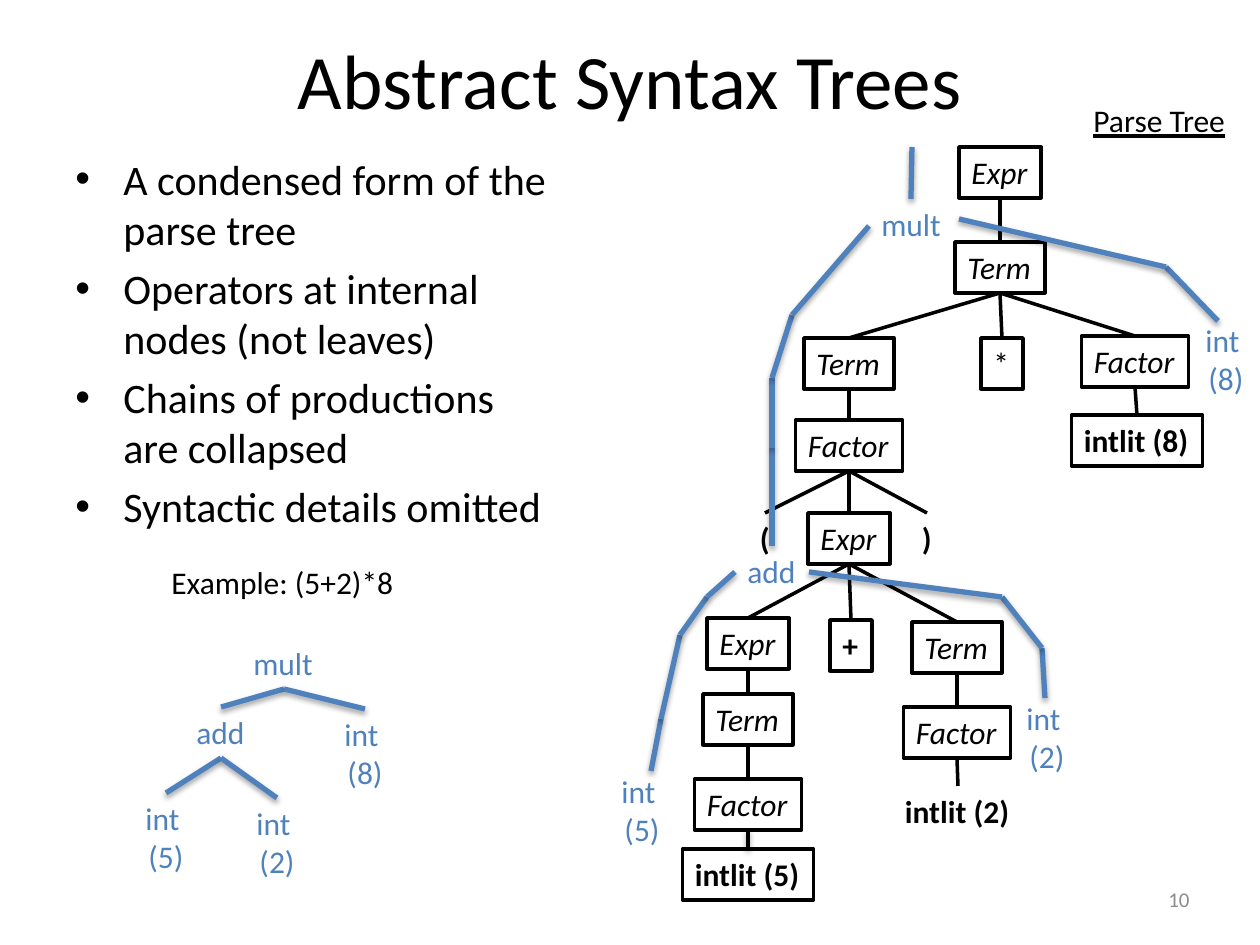
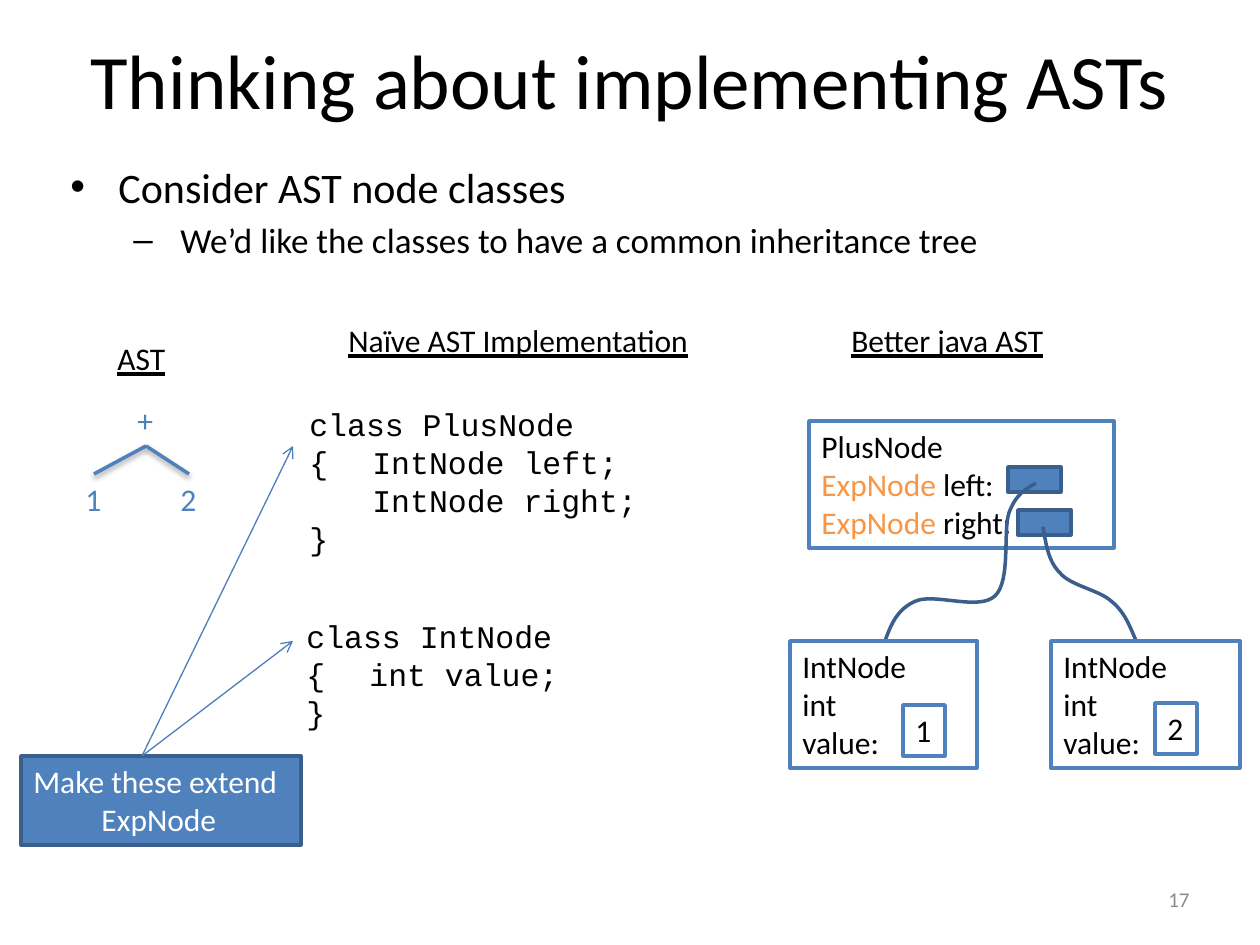
"""Build two slides on abstract syntax trees."""
from itertools import pairwise

from lxml.etree import SubElement
from pptx import Presentation
from pptx.dml.color import RGBColor
from pptx.enum.shapes import MSO_CONNECTOR, MSO_SHAPE
from pptx.enum.text import MSO_ANCHOR, MSO_AUTO_SIZE, PP_ALIGN
from pptx.oxml.ns import qn
from pptx.util import Pt

SCALE = 914400 / 126
BLACK, WHITE, GRAY = "000000", "FFFFFF", "8C8C8C"
BLUE, DARK_BLUE, ARROW_BLUE, ORANGE = "4F81BD", "3A5F8C", "4B7EBC", "F79646"
TITLE_BOX, NUMBER_BOX = (63, 0, 1134, 158), (908, 874, 294, 50)
LINE_HEIGHT, ROW_HEIGHT = 38, 51
ITALIC, BOLD, PLAIN, UNDERLINE = {"italic": True}, {"bold": True}, {}, {"underline": True}
BULLETS = [("•", 24, 48, -48), ("–", 20, 102, -39)]
LABEL_WIDTHS = {
    "Expr": 82, "Term": 90, "Factor": 107, "intlit (8)": 131, "intlit (5)": 131,
    "intlit (2)": 131, "*": 42, "+": 42, "(": 35, ")": 35, "mult": 86, "add": 74,
    "int \n(5)": 67, "int \n(2)": 67, "int \n(8)": 67, "1": 42, "2": 42,
}
UNBOXED = ("(", ")", "intlit (2)")

SYNTAX_POINTS = [
    (0, "A condensed form of the parse tree"),
    (0, "Operators at internal nodes (not leaves)"),
    (0, "Chains of productions are collapsed"),
    (0, "Syntactic details omitted"),
]
CLASS_POINTS = [
    (0, "Consider AST node classes"),
    (1, " We’d like the classes to have a common inheritance tree"),
]

# Each tree node: key, parent key, label, centre x, top, font format.
PARSE_TREE = [
    ("root", None, "Expr", 1000, 147, ITALIC),
    ("product", "root", "Term", 1000, 242, ITALIC),
    ("left term", "product", "Term", 849, 338, ITALIC),
    ("times", "product", "*", 1002, 338, PLAIN),
    ("right factor", "product", "Factor", 1135, 336, ITALIC),
    ("eight", "right factor", "intlit (8)", 1137, 415, BOLD),
    ("left factor", "left term", "Factor", 849, 420, ITALIC),
    ("open", "left factor", "(", 765, 513, BOLD),
    ("sum", "left factor", "Expr", 849, 513, ITALIC),
    ("close", "left factor", ")", 927, 513, BOLD),
    ("five expr", "sum", "Expr", 748, 618, ITALIC),
    ("plus", "sum", "+", 851, 620, BOLD),
    ("two term", "sum", "Term", 957, 622, ITALIC),
    ("five term", "five expr", "Term", 748, 694, ITALIC),
    ("five factor", "five term", "Factor", 748, 779, ITALIC),
    ("five", "five factor", "intlit (5)", 748, 849, BOLD),
    ("two factor", "two term", "Factor", 957, 707, ITALIC),
    ("two", "two factor", "intlit (2)", 958, 786, BOLD),
]
EXAMPLE_TREE = [
    ("mult", None, "mult", 284, 638, PLAIN),
    ("add", "mult", "add", 221, 707, PLAIN),
    ("eight", "mult", "int \n(8)", 365, 709, PLAIN),
    ("five", "add", "int \n(5)", 166, 793, PLAIN),
    ("two", "add", "int \n(2)", 277, 798, PLAIN),
]
OVERLAY_LABELS = [
    ("five", None, "int \n(5)", 642, 766, PLAIN),
    ("add", None, "add", 772, 546, PLAIN),
    ("two", None, "int \n(2)", 1047, 693, PLAIN),
    ("mult", None, "mult", 912, 199, PLAIN),
    ("eight", None, "int \n(8)", 1226, 315, PLAIN),
]
OVERLAY_ROUTES = [
    [(651, 771), (661, 719), (680, 635), (707, 597), (735, 572)],
    [(1045, 698), (1042, 648), (1002, 597), (809, 572)],
    [(772, 546), (772, 448), (772, 378), (792, 315), (869, 226)],
    [(1218, 321), (1166, 267), (959, 219)],
    [(911, 199), (912, 147)],
]
SUM_TREE = [
    ("plus", None, "+", 146, 395, PLAIN),
    ("one", "plus", "1", 94, 474, PLAIN),
    ("two", "plus", "2", 189, 474, PLAIN),
]
SYNTAX_HEADINGS = [("Parse Tree", 1081, 95, 159, UNDERLINE),
                   ("Example: (5+2)*8", 159, 557, 251, PLAIN)]
CLASS_HEADINGS = [("AST", 105, 333, 73, UNDERLINE),
                  ("Naïve AST Implementation", 336, 315, 369, UNDERLINE),
                  ("Better java AST", 839, 315, 219, UNDERLINE)]
CODE_BLOCKS = [
    (["class PlusNode", "{\tIntNode left;", "\tIntNode right;", "}"], (297, 399, 418, 165)),
    (["class IntNode", "{\tint value;", "}"], (294, 611, 343, 127)),
]
PLUS_NODE = ["PlusNode", [("ExpNode ", ORANGE), ("left:", BLACK)],
             [("ExpNode", ORANGE), (" right:", BLACK)]]
POINTER_CELLS = [(1008, 467, 53, 25), (1018, 510, 53, 25)]
POINTER_CURVES = [
    [(1036, 483), (1026, 489), (1016, 494), (1009, 513), (1003, 532), (1011, 581),
     (995, 596), (979, 611), (935, 593), (916, 601), (897, 609), (891, 625), (885, 641)],
    [(1043, 527), (1046, 544), (1048, 561), (1060, 573), (1071, 586), (1099, 590),
     (1111, 601), (1125, 612), (1130, 627), (1137, 643)],
]
INT_NODES = [((790, 641, 187, 127), "1", (903, 705)),
             ((1051, 641, 189, 127), "2", (1155, 703))]
EXTEND_BOX, EXTEND_TOP = (21, 756, 280, 89), (142, 756)
ARROW_TIPS = [(293, 446), (293, 641)]


def emu(*pixels):
    return [round(value * SCALE) for value in pixels]


def rgb(color):
    return RGBColor.from_string(color)


def set_line(shape, color, width):
    shape.line.color.rgb = rgb(color)
    shape.line.width = Pt(width)


def fill_text(frame, lines, color, align, font):
    font = {"name": "Calibri", "size": Pt(18)} | font
    for index, line in enumerate(lines):
        paragraph = frame.paragraphs[0] if index == 0 else frame.add_paragraph()
        paragraph.alignment = align
        for text, run_color in [(line, color)] if isinstance(line, str) else line:
            run = paragraph.add_run()
            run.text = text
            run.font.color.rgb = rgb(run_color)
            for name, value in font.items():
                setattr(run.font, name, value)


def add_text(slide, lines, box, color=BLACK, align=PP_ALIGN.LEFT, font=PLAIN, **frame_format):
    shape = slide.shapes.add_textbox(*emu(*box))
    write(shape, lines, color, align, font, frame_format)
    return shape


def write(shape, lines, color, align, font, frame_format):
    settings = {"word_wrap": False, "auto_size": MSO_AUTO_SIZE.SHAPE_TO_FIT_TEXT,
                "vertical_anchor": MSO_ANCHOR.TOP} | frame_format
    for name, value in settings.items():
        setattr(shape.text_frame, name, value)
    fill_text(shape.text_frame, lines, color, align, font)


def add_box(slide, box, fill, outline, lines=(), color=BLACK, font=PLAIN, **frame_format):
    shape = slide.shapes.add_shape(MSO_SHAPE.RECTANGLE, *emu(*box))
    shape.shadow.inherit = False
    shape.fill.solid()
    shape.fill.fore_color.rgb = rgb(fill)
    set_line(shape, outline, 2)
    if lines:
        write(shape, lines, color, PP_ALIGN.LEFT, font, frame_format)
    return shape


def add_line(slide, start, end, color, width, shadow=False, arrow=False):
    line = slide.shapes.add_connector(MSO_CONNECTOR.STRAIGHT, *emu(*start, *end))
    set_line(line, color, width)
    if arrow:
        SubElement(line.line._get_or_add_ln(), qn("a:tailEnd"), type="arrow")
    effects = SubElement(line._element.spPr, qn("a:effectLst"))
    if shadow:
        outer = SubElement(effects, qn("a:outerShdw"), blurRad="40000", dist="22000",
                           dir="5400000", rotWithShape="0")
        tint = SubElement(outer, qn("a:srgbClr"), val=BLACK)
        SubElement(tint, qn("a:alpha"), val="36000")


def add_curve(slide, points):
    builder = slide.shapes.build_freeform(*points[0], scale=SCALE)
    builder.add_line_segments(points[1:], close=False)
    shape = builder.convert_to_shape()
    shape.shadow.inherit = False
    shape.fill.background()
    set_line(shape, DARK_BLUE, 2)
    segments = list(shape._element.iter(qn("a:lnTo")))
    outline = segments[0].getparent()
    for index, segment in enumerate(segments):
        if index % 3 == 0:
            bezier = SubElement(outline, qn("a:cubicBezTo"))
        bezier.append(segment[0])
        outline.remove(segment)


def add_tree(slide, nodes, color, width, boxed=False, shadowed=()):
    bottoms = {}
    for key, parent, label, center, top, font in nodes:
        lines = label.split("\n")
        height = ROW_HEIGHT + LINE_HEIGHT * (len(lines) - 1)
        box = (center - LABEL_WIDTHS[label] / 2, top, LABEL_WIDTHS[label], height)
        if boxed and label not in UNBOXED:
            add_box(slide, box, WHITE, color, lines, font=font)
        else:
            align = PP_ALIGN.CENTER if len(lines) > 1 else PP_ALIGN.LEFT
            add_text(slide, lines, box, color, align, font)
        bottoms[key] = (center, top + height)
        if parent:
            add_line(slide, bottoms[parent], (center, top), color, width, key in shadowed)


def add_bullets(slide, points, box):
    shape = add_text(slide, [text for _, text in points], box, word_wrap=True,
                     auto_size=MSO_AUTO_SIZE.NONE)
    for (level, _), paragraph in zip(points, shape.text_frame.paragraphs):
        character, size, margin, indent = BULLETS[level]
        paragraph.level = level
        paragraph.space_before = Pt(size * 0.2)
        paragraph.runs[0].font.size = Pt(size)
        properties = paragraph._p.get_or_add_pPr()
        for name, value in zip(("marL", "indent"), emu(margin, indent)):
            properties.set(name, str(value))
        SubElement(properties, qn("a:buFont"), typeface="Arial")
        SubElement(properties, qn("a:buChar"), char=character)


def add_slide(presentation, title, number, points, body_box, headings):
    slide = presentation.slides.add_slide(presentation.slide_layouts[6])
    fixed = {"word_wrap": True, "auto_size": MSO_AUTO_SIZE.NONE,
             "vertical_anchor": MSO_ANCHOR.MIDDLE}
    add_text(slide, [title], TITLE_BOX, align=PP_ALIGN.CENTER, font={"size": Pt(44)}, **fixed)
    add_bullets(slide, points, body_box)
    add_text(slide, [number], NUMBER_BOX, GRAY, PP_ALIGN.RIGHT, {"size": Pt(12)}, **fixed)
    for text, left, top, width, font in headings:
        add_text(slide, [text], (left, top, width, ROW_HEIGHT), font=font)
    return slide


def build_syntax_slide(presentation):
    slide = add_slide(presentation, "Abstract Syntax Trees", "10", SYNTAX_POINTS,
                      (63, 147, 504, 624), SYNTAX_HEADINGS)
    add_tree(slide, PARSE_TREE, BLACK, 2, boxed=True, shadowed=("five",))
    add_tree(slide, OVERLAY_LABELS, BLUE, 3)
    for route in OVERLAY_ROUTES:
        for start, end in pairwise(route):
            add_line(slide, start, end, BLUE, 3, shadow=True)
    add_tree(slide, EXAMPLE_TREE, BLUE, 3, shadowed=("add", "eight", "five", "two"))


def build_class_slide(presentation):
    slide = add_slide(presentation, "Thinking about implementing ASTs", "17", CLASS_POINTS,
                      (58, 155, 1102, 624), CLASS_HEADINGS)
    add_tree(slide, SUM_TREE, BLUE, 2, shadowed=("one", "two"))
    for lines, box in CODE_BLOCKS:
        add_text(slide, lines, box, font={"name": "Courier New"})
    add_box(slide, (809, 421, 305, 127), WHITE, BLUE, PLUS_NODE, word_wrap=True)
    for cell in POINTER_CELLS:
        add_box(slide, cell, BLUE, DARK_BLUE)
    for points in POINTER_CURVES:
        add_curve(slide, points)
    extend = add_box(slide, EXTEND_BOX, BLUE, DARK_BLUE, ["Make these extend ", "ExpNode"], WHITE)
    extend.text_frame.paragraphs[1].alignment = PP_ALIGN.CENTER
    for tip in ARROW_TIPS:
        add_line(slide, EXTEND_TOP, tip, ARROW_BLUE, 0.75, arrow=True)
    for box, value, corner in INT_NODES:
        add_box(slide, box, WHITE, BLUE, ["IntNode", "int", "value:"], word_wrap=True)
        add_box(slide, (*corner, LABEL_WIDTHS[value], ROW_HEIGHT), WHITE, BLUE, [value])


presentation = Presentation()
presentation.slide_width, presentation.slide_height = emu(1260, 945)
build_syntax_slide(presentation)
build_class_slide(presentation)
presentation.save("out.pptx")
